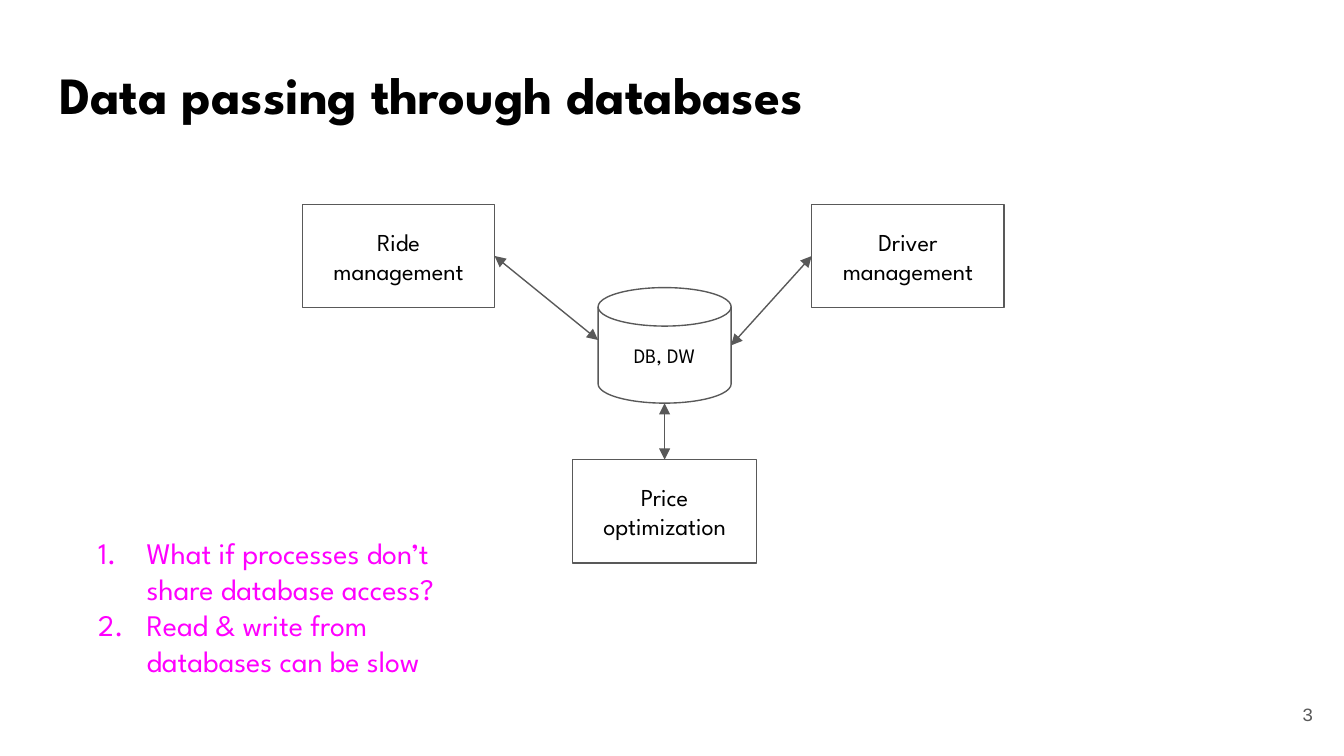
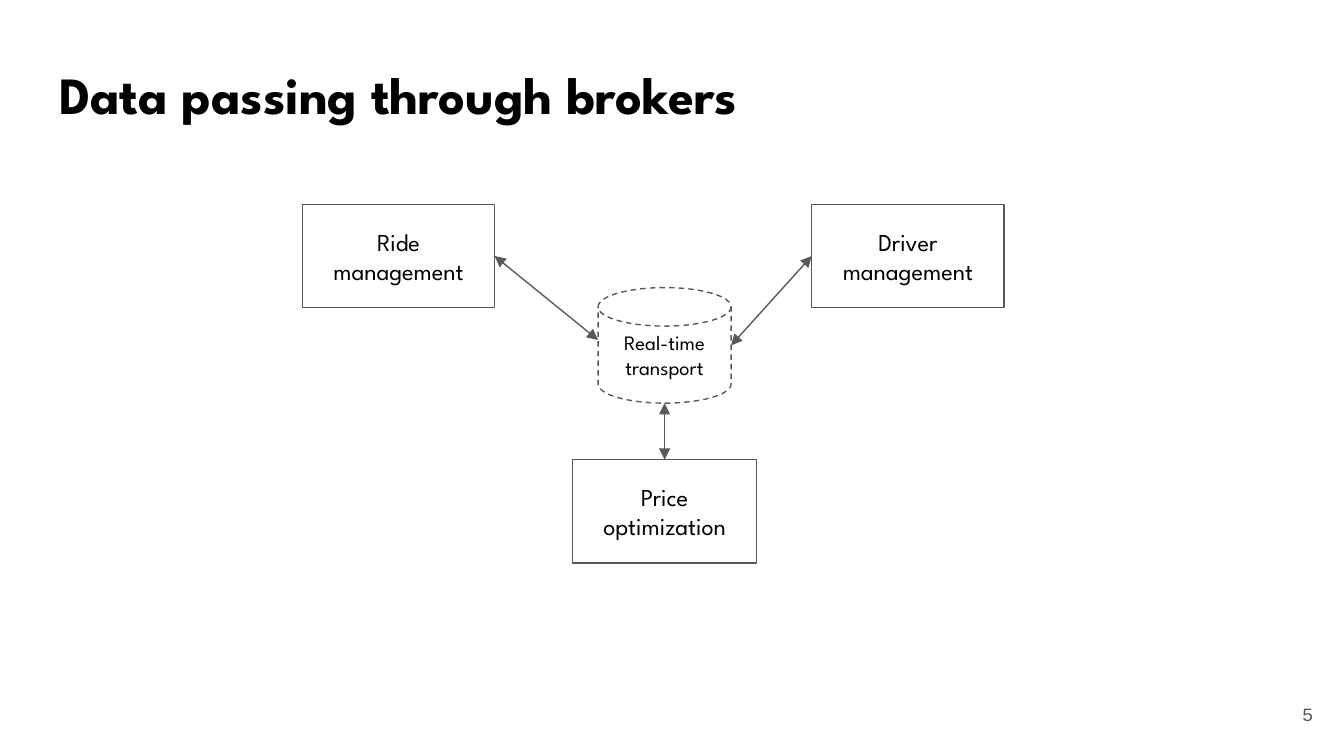
"""Build two slides on passing data between services through a shared hub."""
from dataclasses import dataclass
from typing import Any, NamedTuple

from lxml.etree import SubElement
from pptx import Presentation
from pptx.dml.color import RGBColor
from pptx.enum.dml import MSO_LINE
from pptx.enum.shapes import MSO_CONNECTOR, MSO_SHAPE
from pptx.enum.text import MSO_ANCHOR, MSO_AUTO_SIZE, PP_ALIGN
from pptx.oxml.ns import qn
from pptx.util import Inches, Pt


@dataclass(frozen=True)
class Theme:
    font: str = "League Spartan"
    page_font: str = "Courier New"
    background: RGBColor = RGBColor(0xFF, 0xFF, 0xFF)
    ink: RGBColor = RGBColor(0x00, 0x00, 0x00)
    outline: RGBColor = RGBColor(0x59, 0x59, 0x59)
    question: RGBColor = RGBColor(0xFF, 0x00, 0xFF)
    title_size: Pt = Pt(28)
    question_size: Pt = Pt(16)
    service_size: Pt = Pt(13)
    hub_size: Pt = Pt(11)
    page_size: Pt = Pt(10)
    line_width: Pt = Pt(0.75)


class Box(NamedTuple):
    left: float
    top: float
    width: float
    height: float

    def lengths(self) -> list[int]:
        return [Inches(value) for value in self]


class Service(NamedTuple):
    label: str
    box: Box
    site: int
    hub_end: tuple[float, float]


class HubSlide(NamedTuple):
    title: str
    page: str
    hub: str
    dash: MSO_LINE | None = None
    questions: tuple[str, ...] = ()


THEME = Theme()
SLIDE_WIDTH = Inches(10)
SLIDE_HEIGHT = SLIDE_WIDTH * 9 // 16
TITLE_BOX = Box(0.34, 0.36, 9.32, 0.53)
PAGE_BOX = Box(9.27, 5.1, 0.6, 0.43)
QUESTION_BOX = Box(0.49, 3.88, 3.19, 1.07)
HUB_BOX = Box(4.45, 2.14, 0.99, 0.86)
HUB_CENTER = HUB_BOX.left + HUB_BOX.width / 2
TOP_SITE, LEFT_SITE, RIGHT_SITE = 0, 1, 3

SERVICES = (
    Service("Ride\nmanagement", Box(2.25, 1.52, 1.43, 0.77), RIGHT_SITE, (4.45, 2.53)),
    Service("Driver management", Box(6.04, 1.52, 1.43, 0.77), LEFT_SITE, (5.44, 2.57)),
    Service("Price optimization", Box(4.26, 3.42, 1.37, 0.77), TOP_SITE, (HUB_CENTER, 3)),
)

SLIDES = (
    HubSlide(
        "Data passing through databases", "3", "DB, DW",
        questions=(
            "What if processes don’t share database access?",
            "Read & write from databases can be slow",
        ),
    ),
    HubSlide("Data passing through brokers", "5", "Real-time transport", MSO_LINE.DASH),
)


def apply_format(target: Any, values: dict[str, Any]) -> None:
    """Set every named value on the target."""
    for name, value in values.items():
        setattr(target, name, value)


def write_text(
    shape: Any, text: str, size: Pt, color: RGBColor, *, font: str = THEME.font,
    bold: bool = False, align: PP_ALIGN = PP_ALIGN.LEFT,
    anchor: MSO_ANCHOR = MSO_ANCHOR.TOP, numbered: bool = False,
) -> None:
    """Fill a shape with formatted paragraphs, one per line of text."""
    frame = shape.text_frame
    frame.text = text
    margins = {f"margin_{side}": Inches(0.1) for side in ("left", "top", "right", "bottom")}
    apply_format(frame, margins | {
        "word_wrap": True, "auto_size": MSO_AUTO_SIZE.NONE, "vertical_anchor": anchor,
    })
    for paragraph in frame.paragraphs:
        if numbered:
            number_paragraph(paragraph, color)
        apply_format(paragraph, {
            "alignment": align, "space_before": Pt(0), "space_after": Pt(0), "line_spacing": 1.0,
        })
        for run in paragraph.runs:
            apply_format(run.font, {"name": font, "size": size, "bold": bold})
            run.font.color.rgb = color


def number_paragraph(paragraph: Any, color: RGBColor) -> None:
    """Give a paragraph a hanging automatic number."""
    properties = paragraph._p.get_or_add_pPr()
    properties.set("marL", str(Inches(0.5)))
    properties.set("indent", str(Inches(-0.36)))
    number_color = SubElement(properties, qn("a:buClr"))
    SubElement(number_color, qn("a:srgbClr"), val=str(color))
    SubElement(properties, qn("a:buFont"), typeface=THEME.font)
    SubElement(properties, qn("a:buAutoNum"), type="arabicPeriod")


def place(shape: Any, box: Box) -> None:
    """Move and size a placeholder."""
    apply_format(shape, dict(zip(("left", "top", "width", "height"), box.lengths())))


def style_line(line: Any, dash: MSO_LINE | None = None) -> None:
    """Apply the shared outline."""
    line.color.rgb = THEME.outline
    apply_format(line, {"width": THEME.line_width, "dash_style": dash})


def add_node(
    slide: Any, kind: MSO_SHAPE, box: Box, label: str, size: Pt, dash: MSO_LINE | None = None,
) -> Any:
    """Draw one unfilled, labelled node of the diagram."""
    node = slide.shapes.add_shape(kind, *box.lengths())
    node.shadow.inherit = False
    node.fill.background()
    style_line(node.line, dash)
    write_text(node, label, size, THEME.ink, align=PP_ALIGN.CENTER, anchor=MSO_ANCHOR.MIDDLE)
    return node


def add_link(slide: Any, node: Any, service: Service) -> None:
    """Join a service to the hub with a two-way arrow."""
    end_x, end_y = (Inches(value) for value in service.hub_end)
    link = slide.shapes.add_connector(MSO_CONNECTOR.STRAIGHT, node.left, node.top, end_x, end_y)
    link.begin_connect(node, service.site)
    style_line(link.line)
    outline = link.line._get_or_add_ln()
    for arrow in ("a:headEnd", "a:tailEnd"):
        SubElement(outline, qn(arrow), type="triangle")
    SubElement(link._element.spPr, qn("a:effectLst"))


def build_slide(deck: Any, content: HubSlide) -> None:
    """Add one slide with its title, page number, diagram and questions."""
    layout = "Title and Content" if content.questions else "Title Only"
    slide = deck.slides.add_slide(deck.slide_layouts.get_by_name(layout))
    slide.background.fill.solid()
    slide.background.fill.fore_color.rgb = THEME.background

    title = slide.shapes.title
    place(title, TITLE_BOX)
    write_text(title, content.title, THEME.title_size, THEME.ink, bold=True)

    page = slide.shapes.add_textbox(*PAGE_BOX.lengths())
    write_text(page, content.page, THEME.page_size, THEME.outline, font=THEME.page_font,
               align=PP_ALIGN.RIGHT, anchor=MSO_ANCHOR.MIDDLE)

    nodes = [
        add_node(slide, MSO_SHAPE.FLOWCHART_PROCESS, service.box, service.label, THEME.service_size)
        for service in SERVICES
    ]
    add_node(slide, MSO_SHAPE.FLOWCHART_MAGNETIC_DISK, HUB_BOX, content.hub,
             THEME.hub_size, content.dash)
    for node, service in zip(nodes, SERVICES):
        add_link(slide, node, service)

    if content.questions:
        questions = slide.placeholders[1]
        place(questions, QUESTION_BOX)
        write_text(questions, "\n".join(content.questions), THEME.question_size,
                   THEME.question, numbered=True)


def main() -> None:
    """Build and save the deck."""
    deck = Presentation()
    apply_format(deck, {"slide_width": SLIDE_WIDTH, "slide_height": SLIDE_HEIGHT})
    for content in SLIDES:
        build_slide(deck, content)
    deck.save("out.pptx")


if __name__ == "__main__":
    main()
